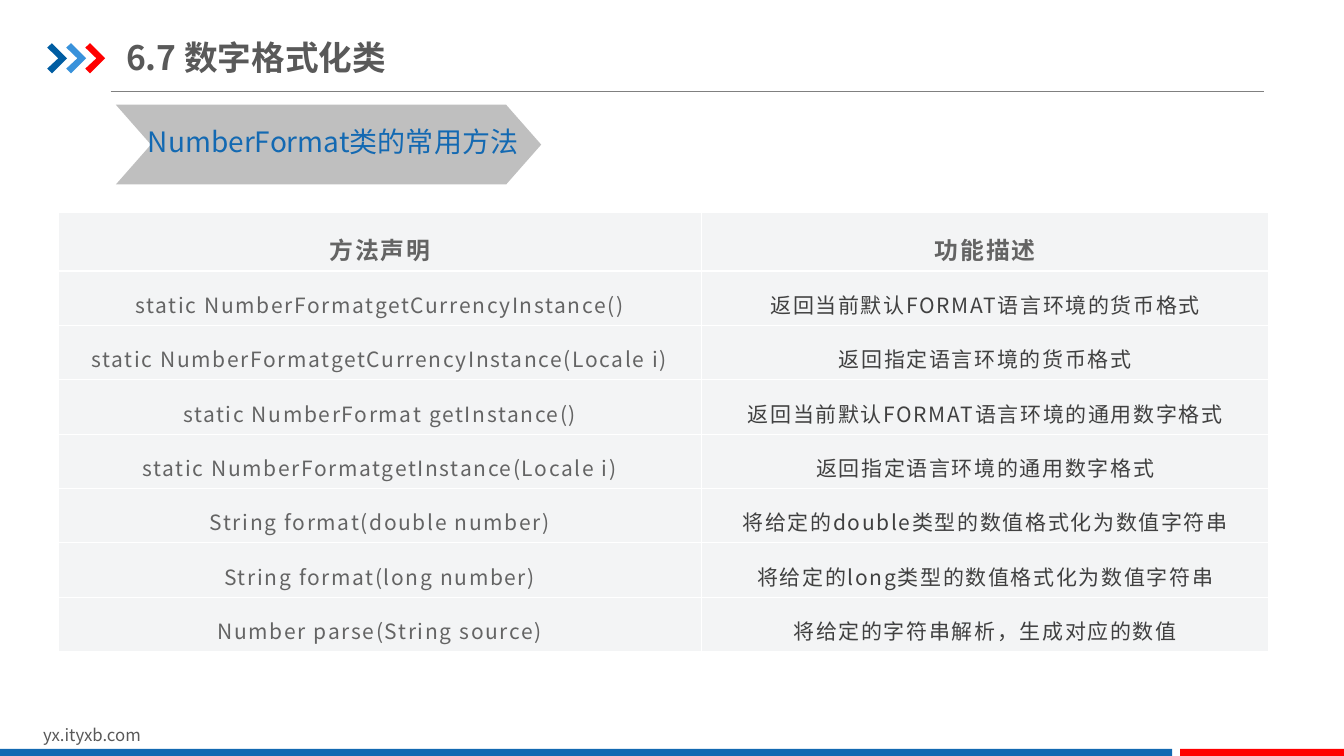
from lxml.etree import SubElement
from pptx import Presentation
from pptx.dml.color import RGBColor
from pptx.enum.shapes import MSO_CONNECTOR, MSO_SHAPE
from pptx.enum.text import MSO_ANCHOR, PP_ALIGN
from pptx.oxml.ns import qn
from pptx.util import Cm, Pt

FONT = "Noto Sans CJK SC"
BLUE, RED, GRAY, WHITE = "1369B2", "FF0000", "595959", "FFFFFF"
ARROW_COLORS = ["005DA2", "3992DB", RED]
ARROW_OUTLINE = [(0, 0.11), (0.12, 0), (0.5, 0.38), (0.12, 0.76), (0, 0.64), (0.28, 0.38)]
METHODS = [
    ("方法声明", "功能描述"),
    ("static NumberFormatgetCurrencyInstance()", "返回当前默认FORMAT语言环境的货币格式"),
    ("static NumberFormatgetCurrencyInstance(Locale i)", "返回指定语言环境的货币格式"),
    ("static NumberFormat getInstance()", "返回当前默认FORMAT语言环境的通用数字格式"),
    ("static NumberFormatgetInstance(Locale i)", "返回指定语言环境的通用数字格式"),
    ("String format(double number)", "将给定的double类型的数值格式化为数值字符串"),
    ("String format(long number)", "将给定的long类型的数值格式化为数值字符串"),
    ("Number parse(String source)", "将给定的字符串解析，生成对应的数值"),
]


def color(value):
    """Turn a hex string into a colour."""
    return RGBColor.from_string(value)


def set_attributes(target, values):
    """Set every attribute in the dict on the target."""
    for name, value in values.items():
        setattr(target, name, value)


def box(left, top, width, height):
    """Return a position and size given in centimetres."""
    return [Cm(length) for length in (left, top, width, height)]


def write_text(paragraph, text, size, hex_color, bold=False, spacing=0):
    """Write one formatted run into a paragraph."""
    run = paragraph.add_run()
    run.text = text
    set_attributes(run.font, {"name": FONT, "size": Pt(size), "bold": bold})
    run.font.color.rgb = color(hex_color)
    properties = run._r.get_or_add_rPr()
    SubElement(properties, qn("a:ea")).set("typeface", FONT)
    if spacing:
        properties.set("spc", str(spacing))


def paint(shape, hex_color):
    """Give a shape a plain fill without line or shadow."""
    shape.fill.solid()
    shape.fill.fore_color.rgb = color(hex_color)
    shape.line.fill.background()
    shape.shadow.inherit = False


def add_block(slide, kind, position, hex_color):
    """Add a plain preset shape."""
    shape = slide.shapes.add_shape(kind, *box(*position))
    paint(shape, hex_color)
    return shape


def add_text(slide, position, text, size, hex_color):
    """Add a wrapped one-paragraph text box."""
    frame = slide.shapes.add_textbox(*box(*position)).text_frame
    frame.word_wrap = True
    write_text(frame.paragraphs[0], text, size, hex_color)


def add_title(slide, text):
    """Place and format the title placeholder."""
    title = slide.shapes.title
    left, top, width, height = box(3.18, 0.74, 12.78, 1.4)
    set_attributes(title, {"left": left, "top": top, "width": width, "height": height})
    set_attributes(title.text_frame, {
        "margin_left": 0, "margin_right": 0, "margin_top": Cm(0.18),
        "margin_bottom": Cm(0.18), "vertical_anchor": MSO_ANCHOR.MIDDLE, "word_wrap": True})
    paragraph = title.text_frame.paragraphs[0]
    paragraph.alignment = PP_ALIGN.LEFT
    write_text(paragraph, text, 24, GRAY, bold=True)


def add_arrows(slide):
    """Add the row of coloured arrows beside the title."""
    group = slide.shapes.add_group_shape()
    for index, hex_color in enumerate(ARROW_COLORS):
        points = [(Cm(1.19 + 0.48 * index + x), Cm(1.09 + y)) for x, y in ARROW_OUTLINE]
        builder = group.shapes.build_freeform(*points[0])
        builder.add_line_segments(points[1:], close=True)
        paint(builder.convert_to_shape(), hex_color)


def add_rule(slide):
    """Add the thin line under the title."""
    rule = slide.shapes.add_connector(MSO_CONNECTOR.STRAIGHT, *box(2.79, 2.31, 31.85, 2.31))
    rule.line.color.rgb = color("808080")
    rule.line.width = Pt(0.75)
    SubElement(rule._element.spPr, qn("a:effectLst"))


def add_borders(cell):
    """Draw white borders on all sides of a cell."""
    properties = cell._tc.get_or_add_tcPr()
    for index, side in enumerate(("lnL", "lnR", "lnT", "lnB")):
        line = properties.makeelement(qn(f"a:{side}"), {"w": str(Pt(1))})
        fill = SubElement(line, qn("a:solidFill"))
        SubElement(fill, qn("a:srgbClr")).set("val", WHITE)
        properties.insert(index, line)


def fill_cell(cell, text, **style):
    """Format one table cell and write its text."""
    set_attributes(cell, {
        "margin_left": Cm(0.48), "margin_right": Cm(0.48), "margin_top": Cm(0.3),
        "margin_bottom": Cm(0.3), "vertical_anchor": MSO_ANCHOR.MIDDLE})
    cell.fill.solid()
    cell.fill.fore_color.rgb = color("F3F4F5")
    add_borders(cell)
    paragraph = cell.text_frame.paragraphs[0]
    set_attributes(paragraph, {"alignment": PP_ALIGN.CENTER, "line_spacing": 1.2})
    write_text(paragraph, text, **style)


def add_method_table(slide):
    """Add the table of methods and their descriptions."""
    position = box(1.47, 5.36, 30.51, 11.06)
    table = slide.shapes.add_table(len(METHODS), 2, *position).table
    for column, width in zip(table.columns, (16.21, 14.3)):
        column.width = Cm(width)
    for row_index, texts in enumerate(METHODS):
        header = row_index == 0
        table.rows[row_index].height = Cm(1.47 if header else 1.37)
        for column_index, text in enumerate(texts):
            described = column_index == 1 and not header
            fill_cell(table.cell(row_index, column_index), text,
                      size=17 if header else 15, bold=header,
                      hex_color="404040" if described else "646464",
                      spacing=130 if header else 120)


def main():
    """Build the slide and save it."""
    presentation = Presentation()
    set_attributes(presentation, {"slide_width": Cm(33.87), "slide_height": Cm(19.05)})
    slide = presentation.slides.add_slide(presentation.slide_layouts[5])
    add_rule(slide)
    add_arrows(slide)
    add_text(slide, (0.84, 18.14, 8.08, 0.76), "yx.ityxb.com", 12, GRAY)
    add_block(slide, MSO_SHAPE.RECTANGLE, (0, 18.87, 29.54, 0.23), BLUE)
    add_block(slide, MSO_SHAPE.RECTANGLE, (29.74, 18.87, 4.13, 0.23), RED)
    banner = add_block(slide, MSO_SHAPE.CHEVRON, (2.92, 2.64, 10.72, 2.01), "BFBFBF")
    banner.adjustments[0] = 0.44
    add_text(slide, (3.48, 3.02, 9.93, 1.12), "NumberFormat类的常用方法", 20, BLUE)
    add_title(slide, "6.7 数字格式化类")
    add_method_table(slide)
    presentation.save("out.pptx")


if __name__ == "__main__":
    main()
